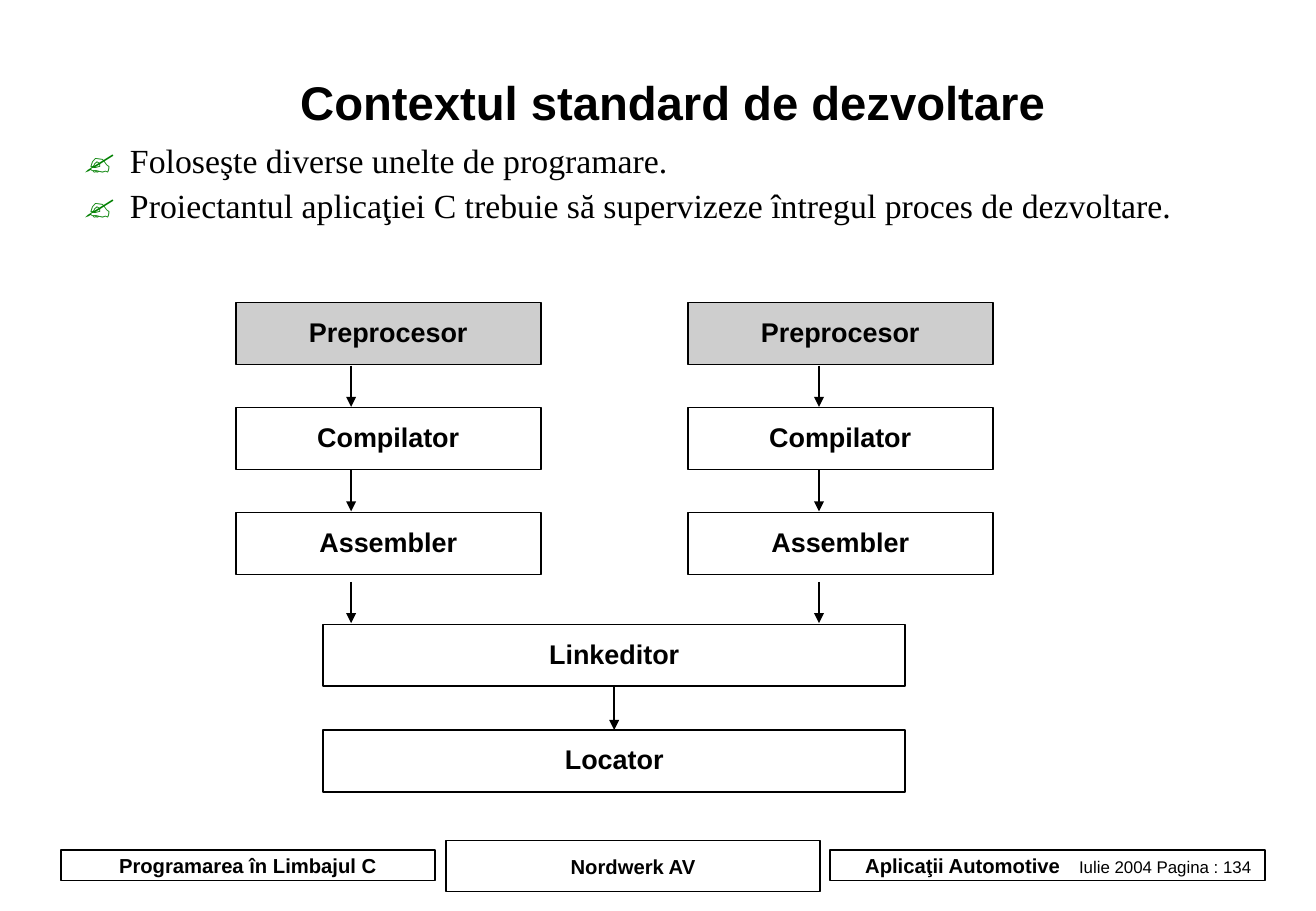
from lxml import etree
from pptx import Presentation, util as u
from pptx.dml.color import RGBColor
from pptx.enum import shapes, text
from pptx.oxml import ns

INK = {"black": "000000", "white": "FFFFFF", "grey": "CECECE",
       "shade": "808080", "green": "008000"}
ALIGN = text.PP_ALIGN


def node(parent, tag, **attrs):
    return etree.SubElement(parent, ns.qn(tag), attrs)


def write(para, words, size=16, face="Arial", bold=True, ink="black",
          align=ALIGN.CENTER, lines=0.9, before=0):
    """Add one run of text and format its paragraph."""
    para.alignment = align
    para.line_spacing = lines
    para.space_before = u.Pt(before)
    run = para.add_run()
    run.text = words
    run.font.size = u.Pt(size)
    run.font.name = face
    run.font.bold = bold
    run.font.color.rgb = RGBColor.from_string(INK[ink])
    return run


class Page:
    def __init__(self, slide):
        self.slide = slide
        self.line = u.Pt(1)

    def frame(self, shape, side=0.1, edge=0.05, wrap=True,
              anchor=text.MSO_ANCHOR.MIDDLE):
        box = shape.text_frame
        box.auto_size = text.MSO_AUTO_SIZE.NONE
        box.word_wrap = wrap
        box.vertical_anchor = anchor
        box.margin_left = box.margin_right = u.Inches(side)
        box.margin_top = box.margin_bottom = u.Inches(edge)
        return box

    def place(self, shape, *spot):
        shape.left, shape.top, shape.width, shape.height = map(u.Inches, spot)

    def title(self, words, *spot):
        shape = self.slide.shapes.title
        self.place(shape, *spot)
        run = write(self.frame(shape).paragraphs[0], words, size=28)
        # Text shadow, directly after the fill
        glow = etree.Element(ns.qn("a:effectLst"))
        cast = node(glow, "a:outerShdw", dist="25400", dir="2700000")
        node(cast, "a:srgbClr", val=INK["shade"])
        run.font.fill._xPr.find(ns.qn("a:solidFill")).addnext(glow)

    def bullets(self, items, *spot):
        shape = self.slide.placeholders[1]
        self.place(shape, *spot)
        box = self.frame(shape, side=0.11, edge=0.06,
                         anchor=text.MSO_ANCHOR.TOP)
        for i, item in enumerate(items):
            para = box.add_paragraph() if i else box.paragraphs[0]
            props = para._p.get_or_add_pPr()
            props.set("marL", str(u.Inches(0.38)))
            props.set("indent", str(-u.Inches(0.38)))
            node(node(props, "a:buClr"), "a:srgbClr", val=INK["green"])
            node(props, "a:buChar", char="✍")
            write(para, item, size=20, face="Times New Roman", bold=False,
                  align=ALIGN.LEFT, before=5 if i else 0)

    def box(self, words, *spot, fill="white", wrap=False, **style):
        shape = self.slide.shapes.add_shape(
            shapes.MSO_SHAPE.RECTANGLE, *map(u.Inches, spot))
        shape.shadow.inherit = False
        shape.fill.solid()
        shape.fill.fore_color.rgb = RGBColor.from_string(INK[fill])
        shape.line.color.rgb = RGBColor.from_string(INK["black"])
        shape.line.width = self.line
        write(self.frame(shape, wrap=wrap).paragraphs[0], words, **style)
        return shape

    def arrow(self, x, top, end):
        link = self.slide.shapes.add_connector(
            shapes.MSO_CONNECTOR.STRAIGHT,
            *map(u.Inches, (x, top, x, end)))
        link.line.color.rgb = RGBColor.from_string(INK["black"])
        link.line.width = self.line
        node(link.line._get_or_add_ln(), "a:tailEnd", type="triangle")
        node(link._element.spPr, "a:effectLst")
        return link


def main():
    deck = Presentation()
    deck.slide_width, deck.slide_height = u.Inches(10.83), u.Inches(7.5)
    page = Page(deck.slides.add_slide(deck.slide_layouts[1]))

    # Footer
    foot = dict(size=12, lines=1.0)
    page.box("Programarea în Limbajul C", 0.5, 7, 3.08, 0.25, **foot)
    page.box("Nordwerk AV", 3.67, 6.92, 3.08, 0.42, **foot)
    date = page.box("Aplicaţii Automotive", 6.83, 7, 3.58, 0.25,
                    wrap=True, align=ALIGN.LEFT, **foot).text_frame
    date.margin_left, date.margin_right = u.Inches(0.29), 0
    para = date.paragraphs[0]
    tabs = node(para._p.get_or_add_pPr(), "a:tabLst")
    node(tabs, "a:tab", pos=str(u.Inches(1.76)), algn="l")
    write(para, "\tIulie 2004 Pagina : 134", size=10, bold=False,
          align=ALIGN.LEFT, lines=1.0)

    # Title and list
    page.title("Contextul standard de dezvoltare", 0.75, 0.49, 9.57, 0.75)
    page.bullets(["Foloseşte diverse unelte de programare.",
                  "Proiectantul aplicaţiei C trebuie să supervizeze "
                  "întregul proces de dezvoltare."], 0.58, 1.13, 9.75, 1.05)

    # Two parallel tool chains
    steps = [("Preprocesor", "grey", 3.01), ("Compilator", "white", 3.87),
             ("Assembler", "white", 4.79)]
    for left, mid in ((1.94, 2.89), (5.66, 6.74)):
        for i, (name, fill, start) in enumerate(steps):
            page.box(name, left, 2.49 + i * 0.865, 2.51, 0.51, fill=fill)
            page.arrow(mid, start, start + 0.34)

    # Shared final steps
    linker, locator = [page.box(name, 2.66, top, 4.79, 0.51) for name, top in
                       (("Linkeditor", 5.14), ("Locator", 6.01))]
    link = page.arrow(5.05, 5.65, 6.01)
    link.begin_connect(linker, 2)
    link.end_connect(locator, 0)

    deck.save("out.pptx")


if __name__ == "__main__":
    main()
